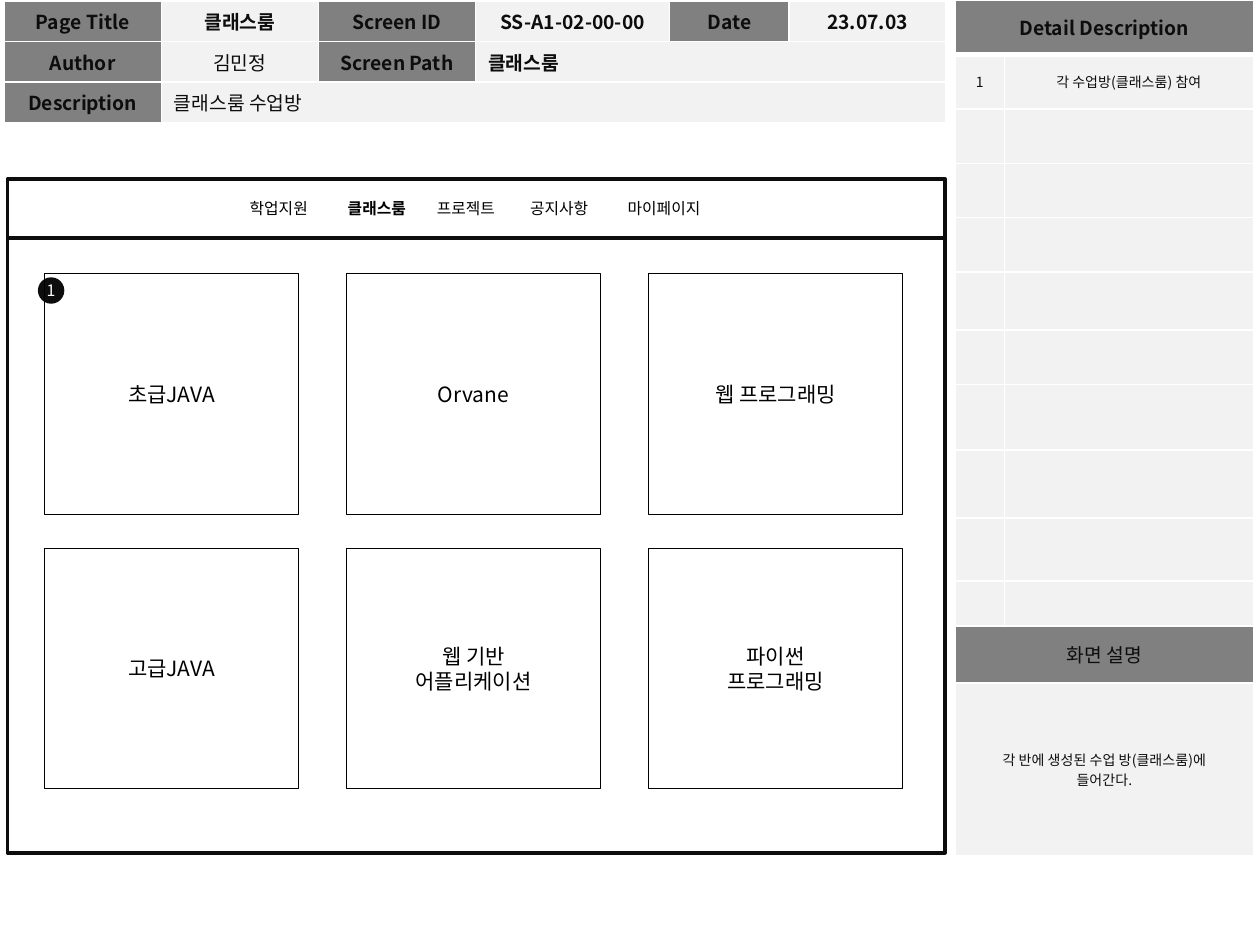
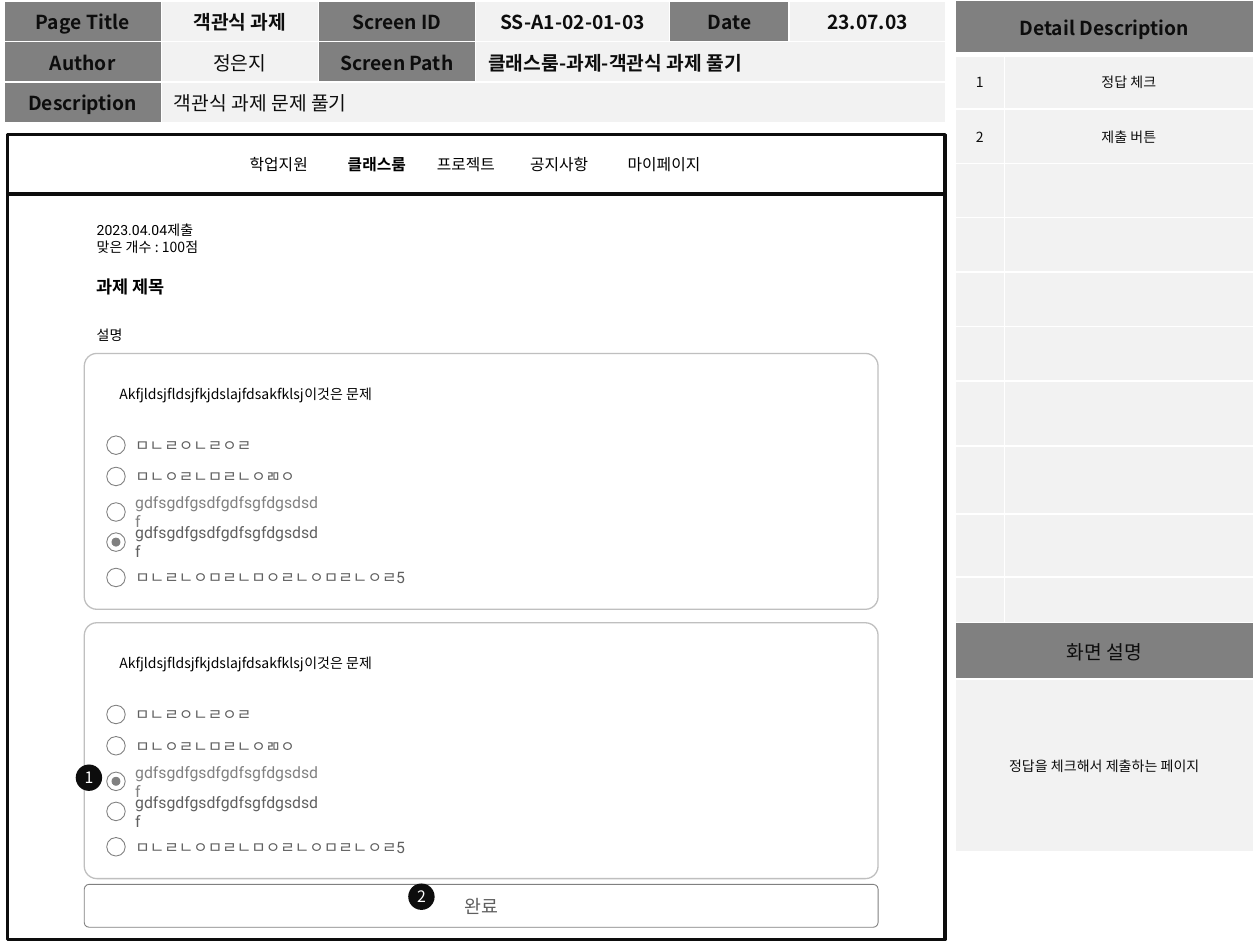
from lxml.etree import SubElement
from pptx import Presentation
from pptx.dml.color import RGBColor
from pptx.enum.shapes import MSO_SHAPE
from pptx.enum.text import MSO_ANCHOR, PP_ALIGN
from pptx.oxml.ns import qn
from pptx.util import Pt

COLORS = {
    "ink": "0D0D0D", "black": "000000", "white": "FFFFFF", "head": "808080",
    "pale": "F2F2F2", "edge": "BFBFBF", "soft": "5F5F5F",
}
FONT = "Noto Sans CJK KR"
LATIN = "Roboto"
FRAME = (4.3, 535.7)  # left and width of the screen frame
CARD = (48.2, 453.6)  # left and width of the question cards
MENU = ["학업지원", "클래스룸", "프로젝트", "공지사항", "마이페이지"]
STOPS = [56, 106.9, 160.2, 216]
OPTIONS = [  # centre below card top, text width, colour, text
    (52.4, 100, "soft", "ㅁㄴㄹㅇㄴㄹㅇㄹ"),
    (70.3, 120, "soft", "ㅁㄴㅇㄹㄴㅁㄹㄴㅇㄻㅇ"),
    (90.6, 117.4, "head", "gdfsgdfgsdfgdfsgfdgsdsdf"),
    (107.8, 117.4, "soft", "gdfsgdfgsdfgdfsgfdgsdsdf"),
    (128, 190, "soft", "ㅁㄴㄹㄴㅇㅁㄹㄴㅁㅇㄹㄴㅇㅁㄹㄴㅇㄹ5"),
]


def rgb(name):
    return RGBColor.from_string(COLORS[name])


# Text
def write(frame, text, size=9, color="black", bold=False, font=FONT,
          align=PP_ALIGN.LEFT, more=False):
    """Fill a text frame, one paragraph a line; more adds to what is there."""
    for i, line in enumerate(text.split("\n")):
        para = frame.add_paragraph() if more or i else frame.paragraphs[0]
        para.alignment = align
        add_run(para, line, size, color, bold, font)
    return para


def add_run(para, text, size, color, bold=False, font=FONT):
    run = para.add_run()
    run.text = text
    run.font.size = Pt(size)
    run.font.bold = bold
    run.font.name = font
    run.font.color.rgb = rgb(color)
    SubElement(run.font._element, qn("a:ea"), typeface=FONT)


def add_text(slide, box, text, anchor=MSO_ANCHOR.TOP, inset=(7.2, 3.6), **kind):
    frame = slide.shapes.add_textbox(*map(Pt, box)).text_frame
    set_frame(frame, anchor, inset)
    write(frame, text, **kind)
    return frame


def set_frame(frame, anchor, inset):
    frame.word_wrap = True
    frame.vertical_anchor = anchor
    frame.margin_left = frame.margin_right = Pt(inset[0])
    frame.margin_top = frame.margin_bottom = Pt(inset[1])


# Shapes
def add_box(slide, box, form=MSO_SHAPE.RECTANGLE, fill=None, line=None,
            width=0.5, round=None, text="", inset=(7.2, 3.6), **kind):
    shape = slide.shapes.add_shape(form, *map(Pt, box))
    shape.shadow.inherit = False
    if round is not None:
        shape.adjustments[0] = round
    if fill:
        shape.fill.solid()
        shape.fill.fore_color.rgb = rgb(fill)
    else:
        shape.fill.background()
    if line:
        shape.line.color.rgb = rgb(line)
        shape.line.width = Pt(width)
    else:
        shape.line.fill.background()
    if text:
        set_frame(shape.text_frame, MSO_ANCHOR.MIDDLE, inset)
        write(shape.text_frame, text, align=PP_ALIGN.CENTER, **kind)


def add_dot(slide, x, y, size, **kind):
    """Draw a circle around a centre."""
    add_box(slide, (x - size / 2, y - size / 2, size, size), MSO_SHAPE.OVAL, **kind)


def add_badge(slide, x, y, text):
    add_dot(slide, x, y, 15.1, fill="ink", text=text, color="white", inset=(0, 0))


# Tables
def add_grid(slide, left, top, cols, rows):
    shape = slide.shapes.add_table(len(rows), len(cols), Pt(left), Pt(top),
                                   Pt(sum(cols)), Pt(sum(rows)))
    grid = shape.table
    grid.first_row = grid.horz_banding = False
    for col, size in zip(grid.columns, cols):
        col.width = Pt(size)
    for row, size in zip(grid.rows, rows):
        row.height = Pt(size)
    return grid


def set_cell(cell, text="", fill="pale", size=11, bold=False,
             align=PP_ALIGN.CENTER, base=1):
    for side in ("lnL", "lnR", "lnT", "lnB"):
        width = base if side == "lnB" else 1
        line = SubElement(cell._tc.get_or_add_tcPr(), qn("a:" + side), w=str(Pt(width)))
        SubElement(SubElement(line, qn("a:solidFill")), qn("a:srgbClr"),
                   val=COLORS["white"])
    cell.fill.solid()
    cell.fill.fore_color.rgb = rgb(fill)
    cell.vertical_anchor = MSO_ANCHOR.MIDDLE
    cell.margin_top = cell.margin_bottom = Pt(2)
    if text:
        write(cell.text_frame, text, size=size, color="ink", bold=bold, align=align)
    else:
        SubElement(cell.text_frame.paragraphs[0]._p, qn("a:endParaRPr"), sz="800")


def add_header(slide, title, code, author, route, about):
    grid = add_grid(slide, 2.4, 0.7, [89.8, 89.8, 89.8, 111, 68.2, 89.8], [23.1] * 3)
    grid.cell(1, 3).merge(grid.cell(1, 5))
    grid.cell(2, 1).merge(grid.cell(2, 5))
    rows = [["Page Title", title, "Screen ID", code, "Date", "23.07.03"],
            ["Author", author, "Screen Path", route],
            ["Description", about]]
    for r, row in enumerate(rows):
        for c, text in enumerate(row):
            label = c % 2 == 0
            wide = r > 0 and c == len(row) - 1
            set_cell(grid.cell(r, c), text, "head" if label else "pale",
                     bold=label or text not in (author, about),
                     align=PP_ALIGN.LEFT if wide else PP_ALIGN.CENTER)


def add_detail(slide, notes, about, sixth=31.1):
    rows = [31.1] * 5 + [sixth, 31.1, 37.3, 38.9, 36, 25.8, 32.5, 98.9]
    grid = add_grid(slide, 545.9, 0, [28, 142.4], rows)
    last = len(rows) - 1
    for r in (0, last - 1, last):
        grid.cell(r, 0).merge(grid.cell(r, 1))
    set_cell(grid.cell(0, 0), "Detail Description", "head", bold=True, base=3)
    for r in range(1, last - 1):
        used = r <= len(notes)
        set_cell(grid.cell(r, 0), str(r) if used else "", size=8)
        set_cell(grid.cell(r, 1), notes[r - 1] if used else "", size=8)
    set_cell(grid.cell(last - 1, 0), "화면 설명", "head")
    set_cell(grid.cell(last, 0), about, size=8)


# Screen frame with its menu
def add_screen(slide, top, bottom):
    left, width = FRAME
    bar = 34
    add_box(slide, (left, top + bar, width, bottom - top - bar), line="ink", width=2)
    add_box(slide, (left, top, width, bar), line="ink", width=2)
    frame = add_text(slide, (135.6, top + 8, 290, 18), MENU[0])
    para = frame.paragraphs[0]
    tabs = SubElement(para._p.get_or_add_pPr(), qn("a:tabLst"))
    for stop in STOPS:
        SubElement(tabs, qn("a:tab"), pos=str(Pt(stop)), algn="l")
    for item in MENU[1:]:
        add_run(para, "\t" + item, 9, "black", bold=item == "클래스룸")


# Question card; pick is the index of the chosen option
def add_card(slide, top, pick):
    left, width = CARD
    add_box(slide, (left, top, width, 146.2), MSO_SHAPE.ROUNDED_RECTANGLE,
            line="edge", width=0.75, round=0.049)
    add_text(slide, (61.2, top + 14.6, 316, 17.3),
             "Akfjldsjfldsjfkjdslajfdsakfklsj이것은 문제", size=8)
    for i, (drop, wide, color, text) in enumerate(OPTIONS):
        y = top + drop
        add_dot(slide, 66.3, y, 10.6, fill="white", line="head")
        if i == pick:
            add_dot(slide, 66.3, y, 4.6, fill="head", line="head")
        add_text(slide, (71.5, y - 8.3, wide, 16.6), text, MSO_ANCHOR.MIDDLE,
                 (5.8, 2.9), color=color, font=LATIN)


def add_rooms(slide):
    add_header(slide, "클래스룸", "SS-A1-02-00-00", "김민정", "클래스룸",
               "클래스룸 수업방")
    add_detail(slide, ["각 수업방(클래스룸) 참여"],
               "각 반에 생성된 수업 방(클래스룸)에\n들어간다.", sixth=33.2)
    add_screen(slide, 102.2, 487.4)
    add_badge(slide, 29.2, 166, "1")
    rooms = ["초급JAVA", "Orvane", "웹 프로그래밍",
             "고급JAVA", "웹 기반\n어플리케이션", "파이썬\n프로그래밍"]
    for i, room in enumerate(rooms):
        row, col = divmod(i, 3)
        add_box(slide, (25.2 + 172.6 * col, 156.4 + 156.8 * row, 145.6, 137.5),
                line="black", text=room, size=12)


def add_task(slide):
    add_header(slide, "객관식 과제", "SS-A1-02-01-03", "정은지",
               "클래스룸-과제-객관식 과제 풀기", "객관식 과제 문제 풀기")
    add_detail(slide, ["정답 체크", "제출 버튼"], "정답을 체크해서 제출하는 페이지")
    add_screen(slide, 77, 537)
    frame = add_text(slide, (CARD[0], 123.1, 345, 51), "2023.04.04제출",
                     size=8, font=LATIN)
    write(frame, "맞은 개수 : 100점", size=8, more=True)
    title = write(frame, "과제 제목", size=10, bold=True, more=True)
    title.space_before = Pt(12)
    add_text(slide, (CARD[0], 182.9, 345, 17.3), "설명", size=8)
    add_card(slide, 202, 3)
    add_card(slide, 355.9, 2)
    add_box(slide, (CARD[0], 505.4, CARD[1], 24.5), MSO_SHAPE.ROUNDED_RECTANGLE,
            fill="white", line="head", round=0.112, text="완료", size=10.5,
            color="soft", font=LATIN)
    add_badge(slide, 50.8, 444.4, "1")
    add_badge(slide, 240.8, 512.4, "2")


def main():
    deck = Presentation()
    deck.slide_width, deck.slide_height = Pt(720), Pt(540)
    for build in (add_rooms, add_task):
        build(deck.slides.add_slide(deck.slide_layouts[6]))
    deck.save("out.pptx")


if __name__ == "__main__":
    main()
